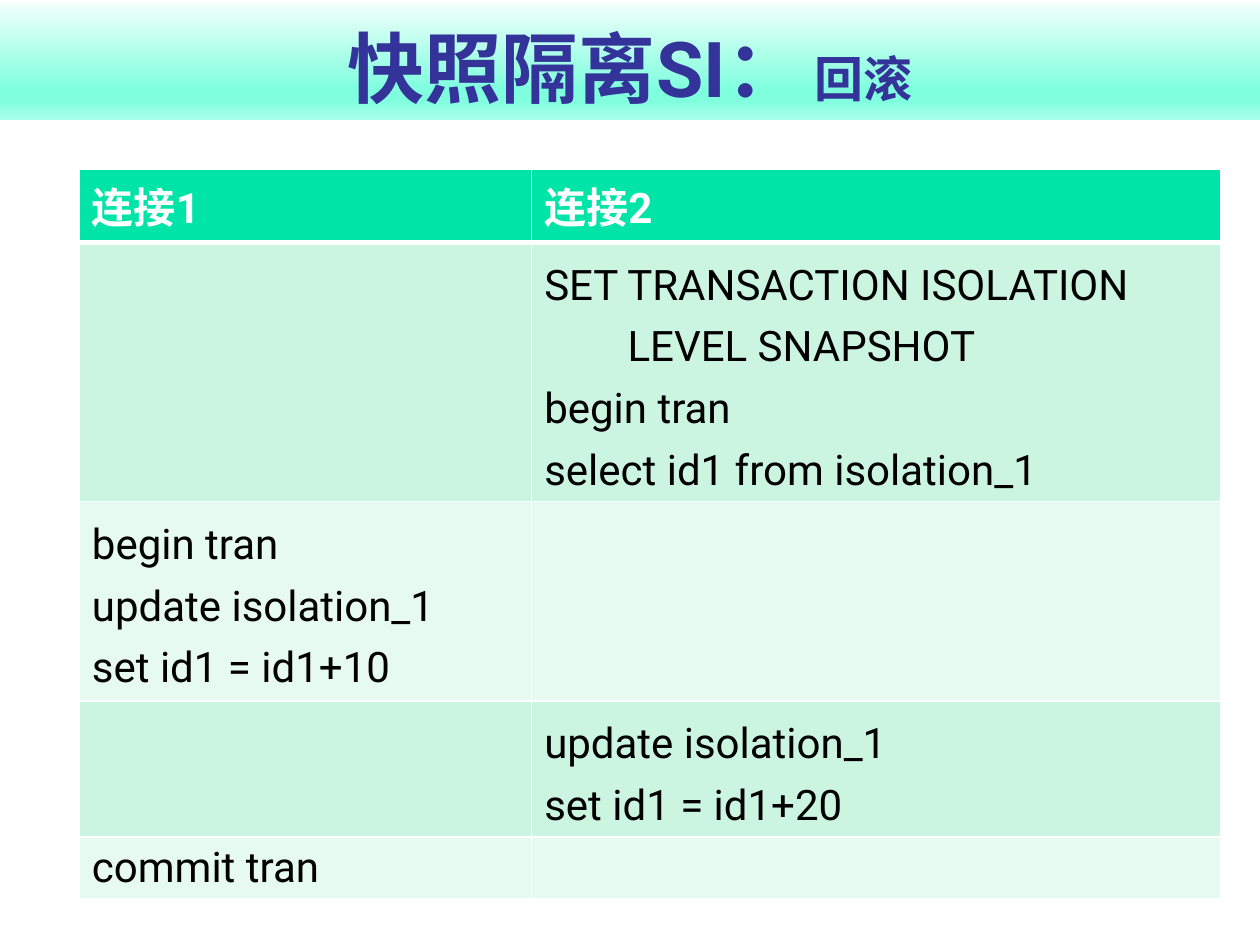
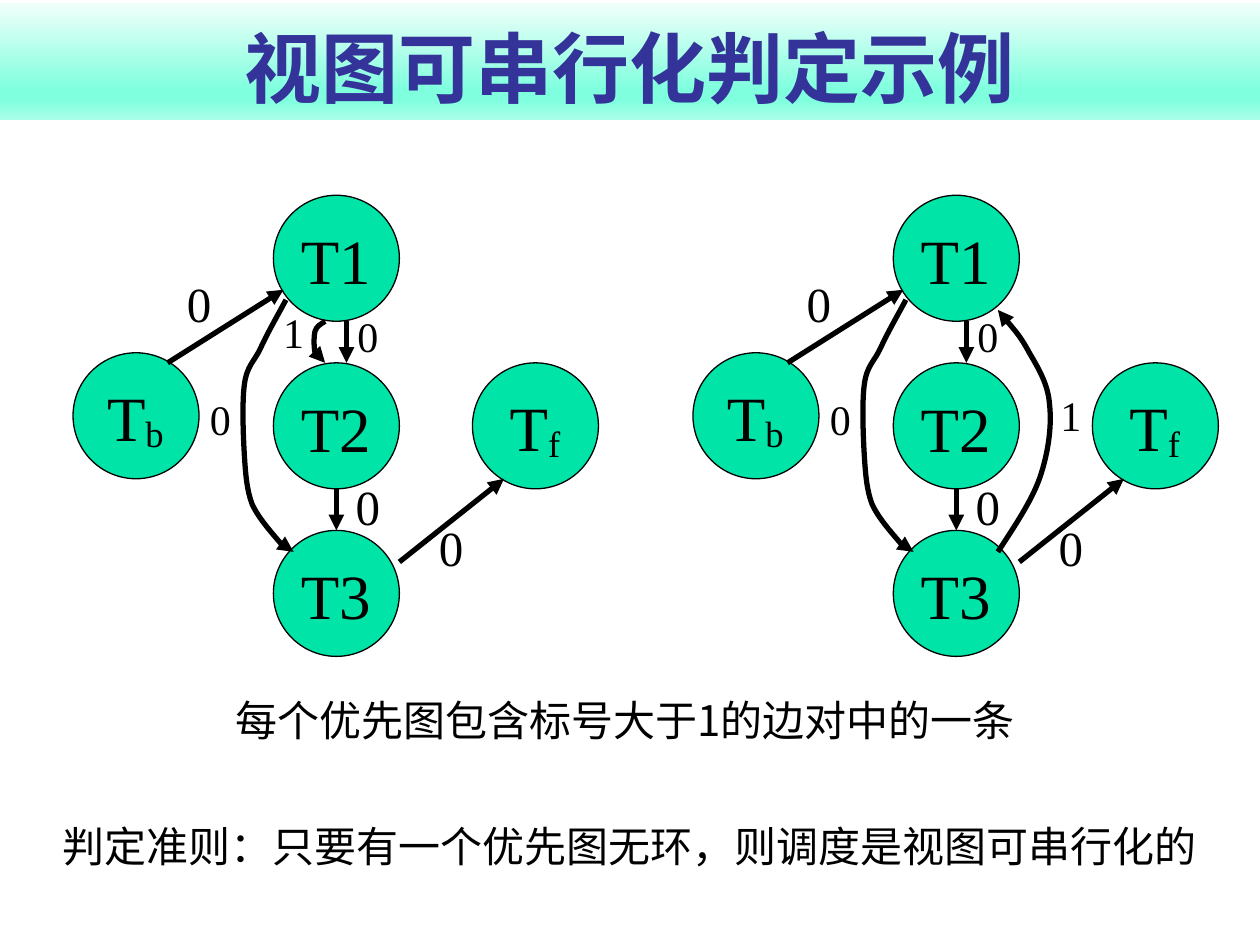
from lxml import etree
from pptx import Presentation
from pptx.dml.color import RGBColor
from pptx.enum.shapes import MSO_CONNECTOR, MSO_SHAPE
from pptx.enum.text import MSO_ANCHOR, MSO_AUTO_SIZE, PP_ALIGN
from pptx.oxml.ns import qn
from pptx.util import Inches, Pt

TOP, MIDDLE, BOTTOM = MSO_ANCHOR.TOP, MSO_ANCHOR.MIDDLE, MSO_ANCHOR.BOTTOM
CENTER = PP_ALIGN.CENTER
OVAL, STRAIGHT = MSO_SHAPE.OVAL, MSO_CONNECTOR.STRAIGHT

W, H = 10, 7.5
HEAD_FONT, CJK_FONT, GRAPH_FONT = "Roboto", "Noto Sans CJK JP", "Times New Roman"
COLORS = {"title": "333399", "accent": "00E4A8", "dark_row": "CCF5E1",
          "light_row": "E7FAF1", "white": "FFFFFF", "black": "000000"}
BAND_STOPS = [(0, "F1FFFB"), (74, "80FFDE"), (83, "80FFDE"), (100, "AAFFE9")]

# Slide 1: (text, size) runs of the title, then rows of (connection 1, connection 2)
ROLLBACK_TITLE = [("快照隔离SI：", 44), (" 回滚", 28)]
ROLLBACK_ROWS = [
    (["连接1"], ["连接2"]),
    ([], ["SET TRANSACTION ISOLATION", "        LEVEL SNAPSHOT",
          "begin tran", "select id1 from isolation_1"]),
    (["begin tran", "update isolation_1", "set id1 = id1+10"], []),
    ([], ["update isolation_1", "set id1 = id1+20"]),
    (["commit tran"], []),
]
COL_WIDTHS = [3.59, 5.47]
ROW_HEIGHTS = [0.57, 2.05, 1.58, 1.07, 0.49]
TABLE_AT = (0.63, 1.34)

# Slide 2: two precedence graphs; positions are relative to each graph's left
VIEW_TITLE = [("视图可串行化判定示例", 44)]
GRAPH_LEFTS = [0, 4.92]
NODES = [("T", "1", 2.17, 1.55), ("T", "2", 2.17, 2.88), ("T", "3", 2.17, 4.21),
         ("T", "b", 0.58, 2.8), ("T", "f", 3.75, 2.88)]
ARROWS = [((2.75, 2.55), (2.75, 2.88)), ((1.33, 2.88), (2.25, 2.3)),
          ((3.17, 4.46), (4, 3.8)), ((2.67, 3.88), (2.67, 4.21))]
EDGE_LABELS = [("0", 28, 1.33, 2.21), ("0", 28, 3.33, 4.15), ("0", 24, 2.67, 2.49),
               ("0", 28, 2.67, 3.82), ("0", 24, 1.5, 3.15)]
# Each curve is a start point followed by three points per Bezier segment
T1_TO_T3 = [(2.27, 2.38), (2.2, 2.51), (2.12, 2.65), (2.07, 2.76),
            (2.02, 2.87), (1.96, 2.9), (1.94, 3.05),
            (1.92, 3.19), (1.93, 3.46), (1.94, 3.62),
            (1.95, 3.78), (1.96, 3.89), (2, 4),
            (2.05, 4.11), (2.15, 4.22), (2.2, 4.28),
            (2.26, 4.35), (2.29, 4.36), (2.33, 4.38)]
T1_TO_T2 = [(2.58, 2.55), (2.55, 2.57), (2.51, 2.59), (2.5, 2.63),
            (2.49, 2.67), (2.49, 2.75), (2.5, 2.8),
            (2.51, 2.84), (2.55, 2.86), (2.58, 2.88)]
T3_TO_T1 = [(3, 4.38), (3.13, 4.18), (3.26, 3.99), (3.33, 3.8),
            (3.4, 3.6), (3.43, 3.38), (3.41, 3.21),
            (3.4, 3.05), (3.32, 2.92), (3.25, 2.8),
            (3.18, 2.67), (3.09, 2.57), (3, 2.46)]
# The edge labelled 1 is what differs between the graphs
CHOSEN_EDGES = [(T1_TO_T2, ("1", 24, 2.08, 2.46)), (T3_TO_T1, ("1", 24, 3.33, 3.12))]
CONCLUSIONS = [("每个优先图包含标号大于1的边对中的一条", 1.67, 5.46, 6.58),
               ("判定准则：只要有一个优先图无环，则调度是视图可串行化的", 0.25, 6.46, 9.5)]


def rgb(name):
    return RGBColor.from_string(COLORS[name])


def box(x, y, w, h):
    return [Inches(v) for v in (x, y, w, h)]


def style_run(r, size, font, color="black", bold=False):
    r.font.size, r.font.name, r.font.bold = Pt(size), font, bold
    r.font.color.rgb = rgb(color)
    ea = etree.SubElement(r._r.get_or_add_rPr(), qn("a:ea"))
    ea.set("typeface", CJK_FONT)


def add_color_fill(parent, color):
    fill = etree.SubElement(parent, qn("a:solidFill"))
    etree.SubElement(fill, qn("a:srgbClr")).set("val", color)


def add_titled_slide(prs, runs):
    """Add a title-only slide whose title sits on the gradient band."""
    s = prs.slides.add_slide(prs.slide_layouts[5])
    title = s.shapes.title
    title.left, title.top, title.width, title.height = box(0, 0.02, W, 0.93)
    grad = etree.SubElement(title._element.spPr, qn("a:gradFill"))
    stops = etree.SubElement(grad, qn("a:gsLst"))
    for pos, color in BAND_STOPS:
        gs = etree.SubElement(stops, qn("a:gs"))
        gs.set("pos", str(pos * 1000))
        etree.SubElement(gs, qn("a:srgbClr")).set("val", color)
    etree.SubElement(grad, qn("a:lin")).set("ang", str(90 * 60000))
    tf = title.text_frame
    tf.auto_size, tf.vertical_anchor = MSO_AUTO_SIZE.NONE, BOTTOM
    p = tf.paragraphs[0]
    p.alignment = CENTER
    for text, size in runs:
        r = p.add_run()
        r.text = text
        style_run(r, size, HEAD_FONT, "title", True)
    return s


def set_borders(cell, bottom):
    tcPr = cell._tc.get_or_add_tcPr()
    for side, width in (("L", 1), ("R", 1), ("T", 1), ("B", bottom)):
        ln = etree.SubElement(tcPr, qn("a:ln" + side))
        ln.set("w", str(Pt(width)))
        add_color_fill(ln, COLORS["white"])


def add_schedule_table(s):
    frame = s.shapes.add_table(len(ROLLBACK_ROWS), len(COL_WIDTHS),
                               *box(*TABLE_AT, sum(COL_WIDTHS), sum(ROW_HEIGHTS)))
    table = frame.table
    for column, width in zip(table.columns, COL_WIDTHS):
        column.width = Inches(width)
    for i, (row, height) in enumerate(zip(ROLLBACK_ROWS, ROW_HEIGHTS)):
        table.rows[i].height = Inches(height)
        header = i == 0
        fill = "accent" if header else "dark_row" if i % 2 else "light_row"
        for j, lines in enumerate(row):
            cell = table.cell(i, j)
            set_borders(cell, 3 if header else 1)
            cell.fill.solid()
            cell.fill.fore_color.rgb = rgb(fill)
            cell.text_frame.text = "\n".join(lines)
            for p in cell.text_frame.paragraphs:
                if len(lines) > 1:
                    p.line_spacing = 1.25
                for r in p.runs:
                    style_run(r, 24, HEAD_FONT, "white" if header else "black", header)


def add_text(s, text, size, x, y, w, h, font=GRAPH_FONT, anchor=TOP, spacing=None, sub=""):
    tf = s.shapes.add_textbox(*box(x, y, w, h)).text_frame
    tf.word_wrap, tf.vertical_anchor = True, anchor
    p = tf.paragraphs[0]
    p.alignment, p.line_spacing = CENTER, spacing
    for part in filter(None, (text, sub)):
        r = p.add_run()
        r.text = part
        style_run(r, size, font)
    if sub:
        p.runs[-1]._r.get_or_add_rPr().set("baseline", "-10000")


def add_node(s, letter, mark, x, y):
    sp = s.shapes.add_shape(OVAL, *box(x, y, 1, 1))
    sp.shadow.inherit = False
    sp.fill.solid()
    sp.fill.fore_color.rgb = rgb("accent")
    sp.line.color.rgb = rgb("black")
    sp.line.width = Pt(0.75)
    text, sub = (letter + mark, "") if mark.isdigit() else (letter, mark)
    add_text(s, text, 36, x + 0.08, y + 0.16, 0.83, 0.7, anchor=BOTTOM, sub=sub)


def style_arrow(sp):
    sp.line.color.rgb = rgb("black")
    sp.line.width = Pt(3)
    etree.SubElement(sp.line._get_or_add_ln(), qn("a:tailEnd")).set("type", "triangle")
    etree.SubElement(sp._element.spPr, qn("a:effectLst"))


def add_curve(s, points, left):
    """Draw an open outline and turn each three points into one Bezier segment."""
    points = [(Inches(left + x), Inches(y)) for x, y in points]
    builder = s.shapes.build_freeform(*points[0])
    builder.add_line_segments(points[1:], close=False)
    sp = builder.convert_to_shape()
    sp.fill.background()
    lines = list(sp._element.iter(qn("a:lnTo")))
    outline = lines[0].getparent()
    for i in range(0, len(lines), 3):
        bezier = etree.SubElement(outline, qn("a:cubicBezTo"))
        for line in lines[i:i + 3]:
            bezier.append(line[0])
            outline.remove(line)
    style_arrow(sp)


def add_precedence_graph(s, left, chosen_curve, chosen_label):
    for letter, mark, x, y in NODES:
        add_node(s, letter, mark, left + x, y)
    for (x1, y1), (x2, y2) in ARROWS:
        style_arrow(s.shapes.add_connector(STRAIGHT, *box(left + x1, y1, left + x2, y2)))
    for curve in (T1_TO_T3, chosen_curve):
        add_curve(s, curve, left)
    for text, size, x, y in EDGE_LABELS + [chosen_label]:
        add_text(s, text, size, left + x, y, 0.5, 0.47 if size == 28 else 0.42, spacing=0.8)


def main():
    prs = Presentation()
    prs.slide_width, prs.slide_height = Inches(W), Inches(H)

    add_schedule_table(add_titled_slide(prs, ROLLBACK_TITLE))

    s = add_titled_slide(prs, VIEW_TITLE)
    for left, (curve, label) in zip(GRAPH_LEFTS, CHOSEN_EDGES):
        add_precedence_graph(s, left, curve, label)
    for text, x, y, w in CONCLUSIONS:
        add_text(s, text, 24, x, y, w, 0.5, CJK_FONT, MIDDLE)

    prs.save("out.pptx")


if __name__ == "__main__":
    main()
